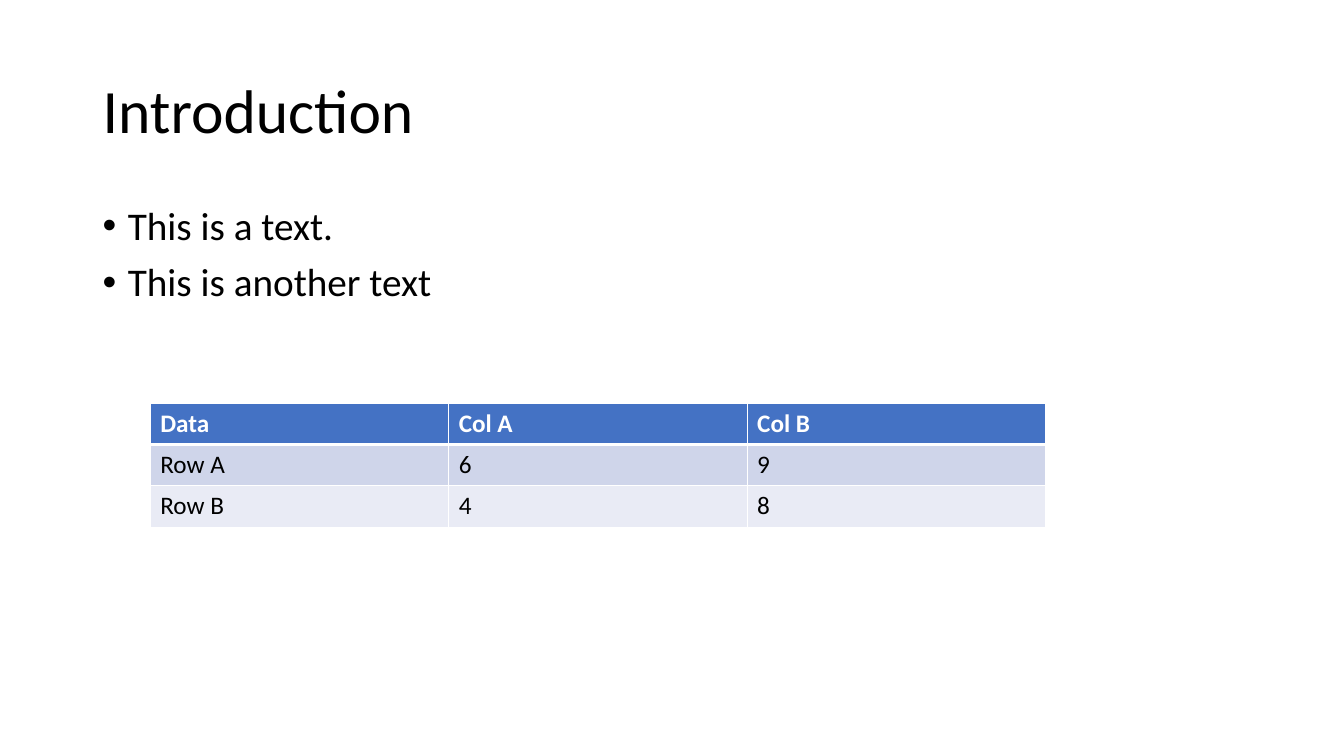
from lxml.etree import SubElement
from pptx import Presentation
from pptx.dml.color import RGBColor
from pptx.enum.text import MSO_ANCHOR as Anchor
from pptx.oxml.ns import qn
from pptx.util import Inches, Pt

FONT = "Calibri"
BLACK, WHITE = "000000", "FFFFFF"
HEADER_FILL = "4472C4"
BAND_FILLS = ["CFD5EA", "E9EBF5"]

BULLETS = ["This is a text.", "This is another text"]
DATA = [
    ["Data", "Col A", "Col B"],
    ["Row A", "6", "9"],
    ["Row B", "4", "8"],
]


def rgb(color):
    return RGBColor.from_string(color)


def write(p, text, size=18, color=BLACK, bold=False, line=None, before=None):
    """Add one formatted run to a paragraph."""
    r = p.add_run()
    r.text = text
    r.font.name, r.font.size, r.font.bold = FONT, Pt(size), bold
    r.font.color.rgb = rgb(color)
    if line is not None:
        p.line_spacing = line
    if before is not None:
        p.space_before = Pt(before)


def add_bullet(p, indent=0.25):
    """Give a paragraph a round bullet with a hanging indent."""
    pPr = p._p.get_or_add_pPr()
    pPr.set("marL", str(Inches(indent)))
    pPr.set("indent", str(Inches(-indent)))
    SubElement(pPr, qn("a:buFont")).set("typeface", "Arial")
    SubElement(pPr, qn("a:buChar")).set("char", "•")


def add_text(slide, lines, left, top, width, height,
             anchor=Anchor.TOP, bullets=False, **fmt):
    """Add a wrapped text box with one paragraph per line."""
    box = slide.shapes.add_textbox(
        Inches(left), Inches(top), Inches(width), Inches(height))
    tf = box.text_frame
    tf.word_wrap = True
    tf.vertical_anchor = anchor
    for i, text in enumerate(lines):
        p = tf.add_paragraph() if i else tf.paragraphs[0]
        write(p, text, **fmt)
        if bullets:
            add_bullet(p)


def set_borders(cell, **widths):
    """Draw white cell borders; widths in points keyed by side L, R, T, B."""
    tcPr = cell._tc.get_or_add_tcPr()
    for i, side in enumerate("LRTB"):
        ln = SubElement(tcPr, qn(f"a:ln{side}"), w=str(Pt(widths.get(side, 1))))
        fill = SubElement(ln, qn("a:solidFill"))
        SubElement(fill, qn("a:srgbClr"), val=WHITE)
        tcPr.insert(i, ln)


def add_data_table(slide, data, left, top, col_width, row_height):
    """Add a table with a header row and banded body rows."""
    n_rows, n_cols = len(data), len(data[0])
    table = slide.shapes.add_table(
        n_rows, n_cols, Inches(left), Inches(top),
        Inches(col_width * n_cols), Inches(row_height * n_rows)).table
    for col in table.columns:
        col.width = Inches(col_width)
    for i, values in enumerate(data):
        table.rows[i].height = Inches(row_height)
        header = i == 0
        fill = HEADER_FILL if header else BAND_FILLS[(i - 1) % 2]
        for j, value in enumerate(values):
            cell = table.cell(i, j)
            cell.fill.solid()
            cell.fill.fore_color.rgb = rgb(fill)
            # Thick rule between the header and the first body row
            set_borders(cell, B=3 if header else 1, T=3 if i == 1 else 1)
            write(cell.text_frame.paragraphs[0], value,
                  color=WHITE if header else BLACK, bold=header)


def main():
    prs = Presentation()
    prs.slide_width, prs.slide_height = Inches(13.33), Inches(7.5)
    slide = prs.slides.add_slide(prs.slide_layouts[6])

    # Title
    add_text(slide, ["Introduction"], 0.92, 0.4, 11.5, 1.45,
             anchor=Anchor.MIDDLE, size=44, line=0.9)

    # Bullet list
    add_text(slide, BULLETS, 0.92, 2, 11.5, 4.76,
             bullets=True, size=28, line=0.9, before=10)

    # Table
    add_data_table(slide, DATA, 1.49, 4, col_width=2.96, row_height=0.41)

    prs.save("out.pptx")


if __name__ == "__main__":
    main()
